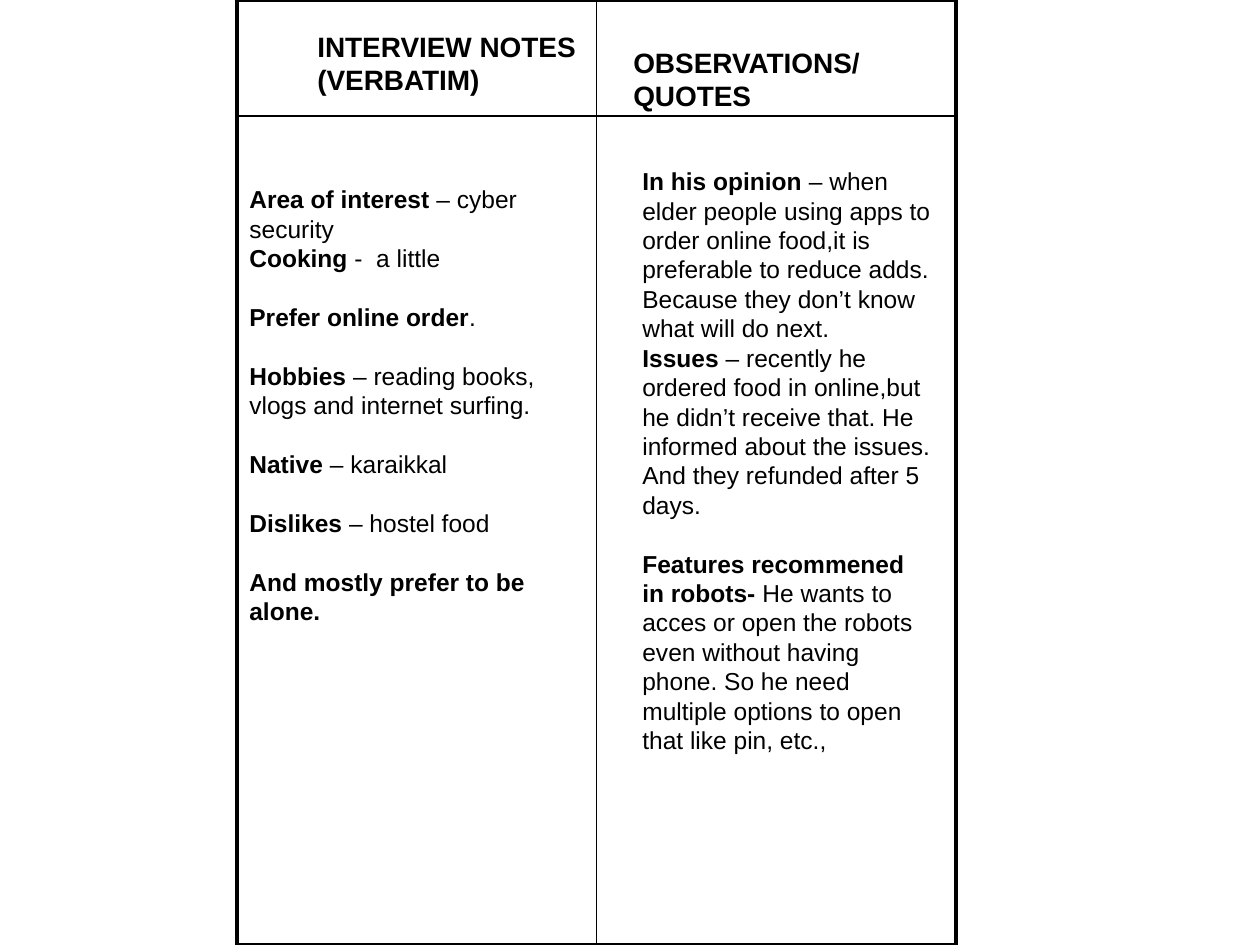
import pptx
import pptx.dml.color
import pptx.enum.shapes
import pptx.enum.text
import pptx.oxml.ns
import pptx.util
from lxml import etree

SCALE = 914400 // 126
BLACK = "000000"
WHITE = "FFFFFF"
BLANK_LINE = 16.8

HEADING_NOTES = [(0, [("INTERVIEW NOTES", True)]), (0, [("(VERBATIM)", True)])]
HEADING_QUOTES = [(0, [("OBSERVATIONS/QUOTES", True)])]
NOTES = [
    (0, [("Area of interest ", True), ("– cyber security", False)]),
    (0, [("Cooking", True), (" -  a little", False)]),
    (BLANK_LINE, [("Prefer online order", True), (".", False)]),
    (BLANK_LINE, [("Hobbies", True), (" – reading books, vlogs and internet surfing.", False)]),
    (BLANK_LINE, [("Native", True), (" – karaikkal", False)]),
    (BLANK_LINE, [("Dislikes", True), (" – hostel food", False)]),
    (BLANK_LINE, [("And mostly prefer to be alone.", True)]),
]
QUOTES = [
    (0, [("In his opinion ", True),
         ("– when elder people using apps to order online food,it is preferable to "
          "reduce adds. Because they don’t know what will do next.", False)]),
    (0, [("Issues", True),
         (" – recently he ordered food in online,but he didn’t receive that. He "
          "informed about the issues. And they refunded after 5 days.", False)]),
    (BLANK_LINE, [("Features recommened in robots- ", True),
                  ("He wants to acces or open the robots even without having phone. So "
                   "he need multiple options to open that like pin, etc.,", False)]),
]


def px(*lengths):
    return [pptx.util.Emu(length * SCALE) for length in lengths]


def colour(value):
    return pptx.dml.color.RGBColor.from_string(value)


def add_frame(page, left, top, width, height):
    frame = page.shapes.add_shape(
        pptx.enum.shapes.MSO_SHAPE.RECTANGLE, *px(left, top, width, height))
    frame.shadow.inherit = False
    frame.fill.solid()
    frame.fill.fore_color.rgb = colour(WHITE)
    frame.line.color.rgb = colour(BLACK)
    frame.line.width = pptx.util.Pt(2)
    return frame


def add_rule(page, left, top, right, bottom):
    rule = page.shapes.add_connector(
        pptx.enum.shapes.MSO_CONNECTOR.STRAIGHT, *px(left, top, right, bottom))
    rule.line.color.rgb = colour(BLACK)
    rule.line.width = pptx.util.Pt(0.75)
    properties = rule._element.spPr
    etree.SubElement(properties, pptx.oxml.ns.qn("a:effectLst"))
    return rule


def add_text(page, left, top, width, height, size, paragraphs):
    box = page.shapes.add_textbox(*px(left, top, width, height))
    frame = box.text_frame
    frame.word_wrap = True
    frame.auto_size = pptx.enum.text.MSO_AUTO_SIZE.SHAPE_TO_FIT_TEXT
    for index, (gap, spans) in enumerate(paragraphs):
        para = frame.add_paragraph() if index else frame.paragraphs[0]
        para.space_before = pptx.util.Pt(gap)
        for text, bold in spans:
            span = para.add_run()
            span.text = text
            span.font.name = "Arial"
            span.font.size = pptx.util.Pt(size)
            span.font.bold = bold
            span.font.color.rgb = colour(BLACK)


def main():
    deck = pptx.Presentation()
    deck.slide_width, deck.slide_height = px(1260, 945)
    page = deck.slides.add_slide(deck.slide_layouts[6])

    frame = add_frame(page, 237, 0, 719, 945)
    add_rule(page, 237, 116, 956, 116)
    divider = add_rule(page, 596, 945, 596, 0)
    divider.begin_connect(frame, 2)
    divider.end_connect(frame, 0)

    add_text(page, 305, 23, 466, 81, 16, HEADING_NOTES)
    add_text(page, 621, 39, 343, 47, 16, HEADING_QUOTES)
    add_text(page, 237, 178, 352, 488, 14, NOTES)
    add_text(page, 630, 160, 315, 547, 14, QUOTES)

    deck.save("out.pptx")


if __name__ == "__main__":
    main()
